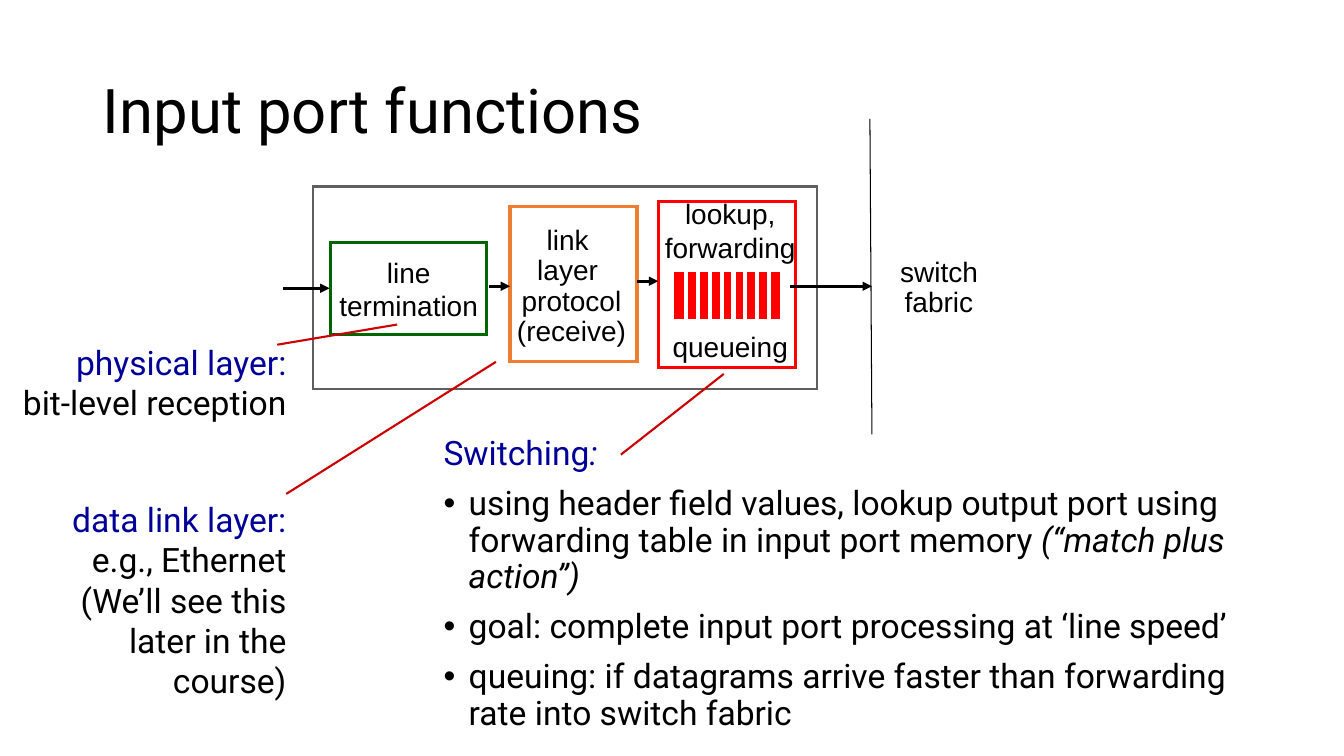
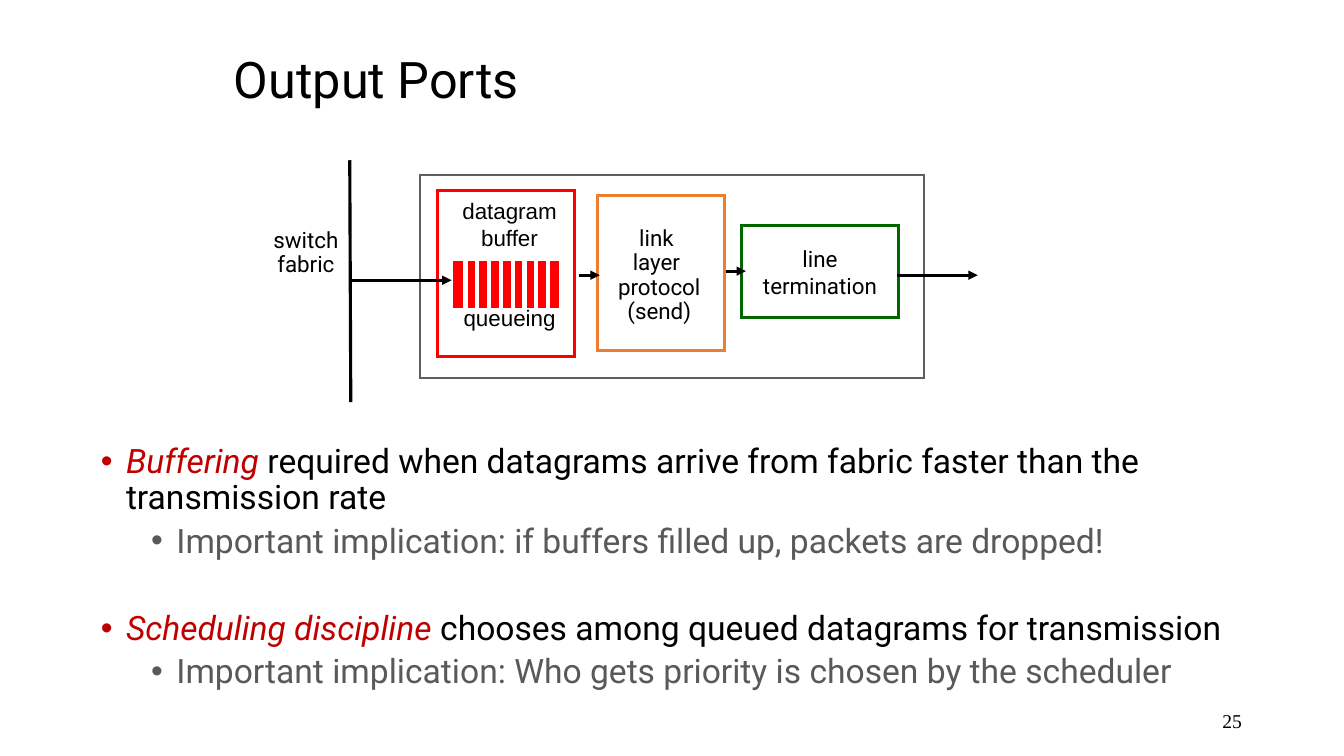
from dataclasses import dataclass

import pptx
import pptx.dml.color
import pptx.enum.shapes
import pptx.enum.text
import pptx.oxml
import pptx.oxml.ns
import pptx.util
from lxml import etree

RGB = pptx.dml.color.RGBColor
ALIGN = pptx.enum.text.PP_ALIGN
ANCHOR = pptx.enum.text.MSO_ANCHOR
Pt = pptx.util.Pt
qn = pptx.oxml.ns.qn

BLACK = RGB(0x00, 0x00, 0x00)
WHITE = RGB(0xFF, 0xFF, 0xFF)
FRAME_GREY = RGB(0x5F, 0x5F, 0x5F)
TEXT_GREY = RGB(0x59, 0x59, 0x59)
GREEN = RGB(0x00, 0x66, 0x00)
ORANGE = RGB(0xED, 0x7D, 0x31)
RED = RGB(0xFF, 0x00, 0x00)
NAVY = RGB(0x00, 0x00, 0x99)
CALLOUT_RED = RGB(0xCC, 0x00, 0x00)
TERM_RED = RGB(0xC0, 0x00, 0x00)

# The slide is a grid of square cells, each a tenth of an inch
CELL = pptx.util.Inches(0.1)
COLS, ROWS = 133.33, 75

BODY = dict(size=24, name="Roboto", color=BLACK)
CENTERED = dict(alignment=ALIGN.CENTER)
TIGHT = dict(alignment=ALIGN.CENTER, line_spacing=0.9)


def cells(*values):
    return [round(v * CELL) for v in values]


@dataclass
class Box:
    x: float
    y: float
    w: float
    h: float

    def inner(self, dx, dy, w, h):
        return Box(self.x + dx, self.y + dy, w, h)

    def emu(self):
        return cells(self.x, self.y, self.w, self.h)


# ---- Text ----
def format_font(font, fmt):
    for key, value in fmt.items():
        if key == "color":
            font.color.rgb = value
        else:
            setattr(font, key, Pt(value) if key == "size" else value)


def set_bullet(p, char, left):
    """Hanging indent of a quarter inch, with a bullet if char is given."""
    pPr = p._p.get_or_add_pPr()
    pPr.set("marL", str(pptx.util.Inches(left)))
    pPr.set("indent", str(pptx.util.Inches(-0.25)))
    if char:
        etree.SubElement(pPr, qn("a:buChar")).set("char", char)
    else:
        etree.SubElement(pPr, qn("a:buNone"))


def add_runs(p, runs, font):
    for text, fmt in runs:
        r = p.add_run()
        r.text = text
        format_font(r.font, {**font, **fmt})


def paragraphs(tf):
    """Yield the first paragraph, then new ones."""
    yield tf.paragraphs[0]
    while True:
        yield tf.add_paragraph()


def write(tf, lines, font, para, wrap=True, anchor=ANCHOR.TOP):
    """Each line is a string or a (text, font, paragraph format) tuple."""
    tf.word_wrap, tf.vertical_anchor = wrap, anchor
    for line, p in zip(lines, paragraphs(tf)):
        text, own_font, own_para = (line, {}, {}) if isinstance(line, str) else line
        for key, value in {**para, **own_para}.items():
            setattr(p, key, value)
        add_runs(p, [(text, own_font)], font)


def text_box(s, box, lines, font, para, **frame):
    write(s.shapes.add_textbox(*box.emu()).text_frame, lines, font, para, **frame)


def title(s, box, text, size):
    sp = s.shapes.title
    sp.left, sp.top, sp.width, sp.height = box.emu()
    sp.text_frame.auto_size = pptx.enum.text.MSO_AUTO_SIZE.NONE
    write(sp.text_frame, [text], {**BODY, "size": size},
          dict(alignment=ALIGN.LEFT, line_spacing=0.9), anchor=ANCHOR.MIDDLE)


def bullet_list(s, box, items):
    """Each item is (level, bullet, space before, runs)."""
    sp = s.placeholders[1]
    sp.left, sp.top, sp.width, sp.height = box.emu()
    tf = sp.text_frame
    tf.auto_size = pptx.enum.text.MSO_AUTO_SIZE.NONE
    tf.vertical_anchor = ANCHOR.TOP
    for (level, char, before, runs), p in zip(items, paragraphs(tf)):
        set_bullet(p, char, 0.25 + 0.5 * level)
        for key, value in dict(level=level, line_spacing=0.9, space_before=Pt(before),
                               alignment=ALIGN.LEFT).items():
            setattr(p, key, value)
        add_runs(p, runs, BODY)


# ---- Shapes and lines ----
def rect(shapes, box, fill=WHITE, line=None, width=2.25):
    sp = shapes.add_shape(pptx.enum.shapes.MSO_SHAPE.RECTANGLE, *box.emu())
    sp.shadow.inherit = False
    sp.fill.solid()
    sp.fill.fore_color.rgb = fill
    if line is None:
        sp.line.fill.background()
    else:
        sp.line.color.rgb = line
        sp.line.width = Pt(width)
        # Sharp corners
        ln = sp._element.spPr.find(qn("a:ln"))
        etree.SubElement(ln, qn("a:miter")).set("lim", "800000")
    return sp


def line(shapes, start, end, color=BLACK, width=2.25, arrow=False):
    c = shapes.add_connector(pptx.enum.shapes.MSO_CONNECTOR.STRAIGHT,
                             *cells(*start, *end))
    c.line.color.rgb = color
    c.line.width = Pt(width)
    spPr = c._element.spPr
    if arrow:
        etree.SubElement(spPr.find(qn("a:ln")), qn("a:tailEnd")).set("type", "triangle")
    etree.SubElement(spPr, qn("a:effectLst"))


def label(s, box, lines, font, para=TIGHT, border=None):
    sp = rect(s.shapes, box, line=border)
    write(sp.text_frame, lines, font, para, wrap=False, anchor=ANCHOR.MIDDLE)


# ---- Parts of a port ----
def line_termination(s, frame, dx, dy, font):
    label(s, frame.inner(dx, dy, 15.5, 9.1), ["line", "termination"], font, CENTERED, GREEN)


def link_layer(s, frame, dx, action, font):
    box = frame.inner(dx, 2, 12.6, 15.4)
    rect(s.shapes, box, line=ORANGE)
    label(s, box.inner(0.35, 3.4, 11.5, 9.1),
          ["link ", "layer ", "protocol", f"({action})"], font)


def queue_bars(s, box, bars=9):
    group = s.shapes.add_group_shape().shapes
    rect(group, box, fill=RED, line=WHITE, width=3)
    for i in range(1, bars):
        x = box.x + 0.27 + 1.17 * i
        line(group, (x, box.y + 0.1), (x, box.y + 5), WHITE, 3)


def queue(s, frame, dx, heading, size, text_dy):
    box = frame.inner(dx, 1.5, 13.6, 16.5)
    rect(s.shapes, box, line=RED)
    queue_bars(s, box.inner(1.35, 6.8, 10.9, 5.1))
    # The last line stands two lines lower, under the bars;
    # the text box is wider than the queue so that no word breaks
    below_bars = ("queueing", {}, dict(space_before=Pt(2.35 * size)))
    text_box(s, box.inner(-0.85, text_dy, 16, 17), [*heading, below_bars],
             dict(size=size, name="Arial", color=BLACK), CENTERED, wrap=False)


def flow_arrows(s, frame, spans):
    for x1, x2, y in spans:
        line(s.shapes, (frame.x + x1, frame.y + y), (frame.x + x2, frame.y + y), arrow=True)


def switch_fabric(s, box, start, end, width, font):
    label(s, box, ["switch", "fabric"], font)
    line(s.shapes, start, end, width=width)


def layer_note(s, box, heading, lines):
    text_box(s, box, [(heading, dict(color=NAVY), {}), *lines], BODY,
             dict(alignment=ALIGN.RIGHT))


def page_number(s, box, number):
    text_box(s, box, [number], dict(size=14, name="Times New Roman", color=BLACK),
             dict(alignment=ALIGN.RIGHT), anchor=ANCHOR.MIDDLE)


# ---- Slides ----
def input_port_slide(s):
    title(s, Box(9.2, 4, 115, 14.5), "Input port functions", 44)

    # Port diagram
    font = dict(size=20, name="Arial", color=BLACK)
    frame = Box(31.1, 18.5, 50, 20.1)
    rect(s.shapes, frame, line=FRAME_GREY, width=1.5)
    line_termination(s, frame, 1.7, 5.6, font)
    link_layer(s, frame, 19.5, "receive", font)
    queue(s, frame, 34.2, ["lookup,", "forwarding"], 20, -1)
    switch_fabric(s, Box(87.4, 24.1, 11.5, 9.1), (86.3, 11.8), (86.5, 43.1), 0.75, font)
    flow_arrows(s, frame, [(-3, 1.6, 10.1), (17.4, 19.5, 9.9),
                           (32.1, 34.2, 9.4), (47.3, 55.4, 9.9)])

    # Explanations and their callout lines
    bullet_list(s, Box(43, 42.8, 83.1, 29.2), [
        (0, None, 0, [("Switching", dict(color=NAVY)),
                      (":", dict(color=NAVY, italic=True))]),
        (0, "•", 10, [("using header field values, lookup output port using "
                       "forwarding table in input port memory ", {}),
                      ("(“match plus action”)", dict(italic=True))]),
        (0, "•", 10, [("goal: complete input port processing at ‘line speed’", {})]),
        (0, "•", 10, [("queuing: if datagrams arrive faster than forwarding "
                       "rate into switch fabric", {})]),
    ])
    layer_note(s, Box(1, 33.4, 28.4, 9.1), "physical layer:", ["bit-level reception"])
    layer_note(s, Box(5.6, 49, 23.8, 21.2), "data link layer:",
               ["e.g., Ethernet", "(We’ll see this later in the course)"])
    for start, end in [((28.4, 49), (49.2, 35.9)), ((27.5, 34.2), (39.4, 32.2)),
                       ((61.6, 45.1), (71.8, 37.1))]:
        line(s.shapes, start, end, CALLOUT_RED, 1.5)


def output_port_slide(s):
    title(s, Box(22.2, 4.4, 85, 7.5), "Output Ports", 36)

    # Consequences
    term, implication = dict(color=TERM_RED, italic=True), dict(color=TEXT_GREY)
    bullet_list(s, Box(9, 43.6, 115.3, 28.2), [
        (0, "•", 0, [("Buffering", term),
                     (" required when datagrams arrive from fabric faster than "
                      "the transmission rate", {})]),
        (1, "•", 5, [("Important implication: if buffers filled up, "
                      "packets are dropped!", implication)]),
        (0, "•", 36.5, [("Scheduling discipline ", term),
                        ("chooses among queued datagrams for transmission", {})]),
        (1, "•", 5, [("Important implication: Who gets priority is chosen "
                      "by the scheduler", implication)]),
    ])

    # Port diagram
    font = dict(size=16, name="Roboto", color=BLACK)
    frame = Box(41.7, 17.4, 50, 20.1)
    rect(s.shapes, frame, line=FRAME_GREY, width=1.5)
    line_termination(s, frame, 31.9, 5, font)
    link_layer(s, frame, 17.6, "send", font)
    queue(s, frame, 1.7, ["datagram", "buffer"], 16, 0.2)
    switch_fabric(s, Box(24.6, 20.6, 11.5, 9.1), (34.7, 15.9), (34.8, 39.9), 2.25, font)
    flow_arrows(s, frame, [(-7.1, 3.1, 10.4), (15.7, 17.8, 9.9),
                           (30.3, 32.3, 9.5), (47.3, 55.3, 9.9)])
    page_number(s, Box(94.2, 69.5, 30, 4), "25")


def main():
    prs = pptx.Presentation()
    prs.slide_width, prs.slide_height = cells(COLS, ROWS)
    for build in (input_port_slide, output_port_slide):
        build(prs.slides.add_slide(prs.slide_layouts[1]))
    prs.save("out.pptx")


if __name__ == "__main__":
    main()
